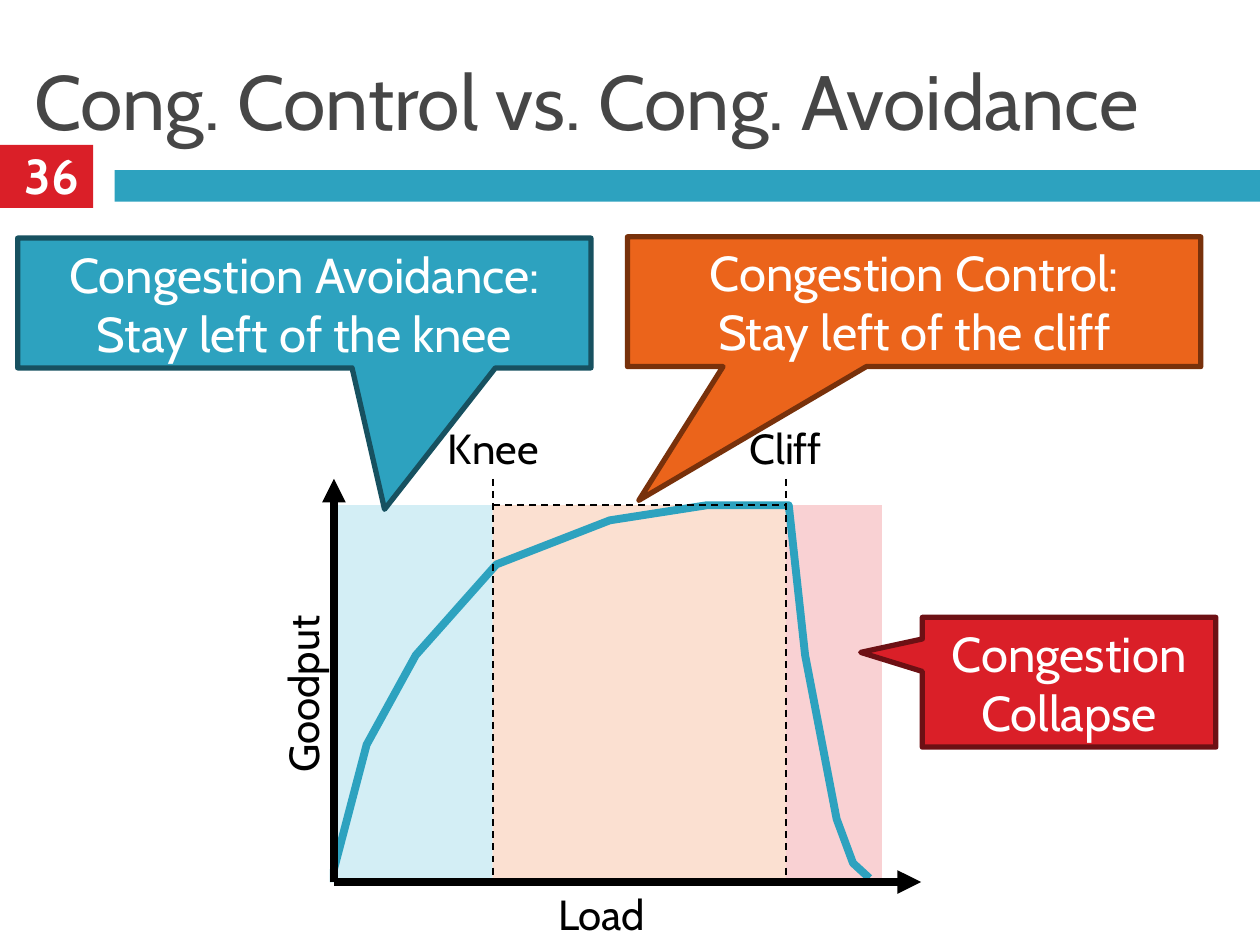
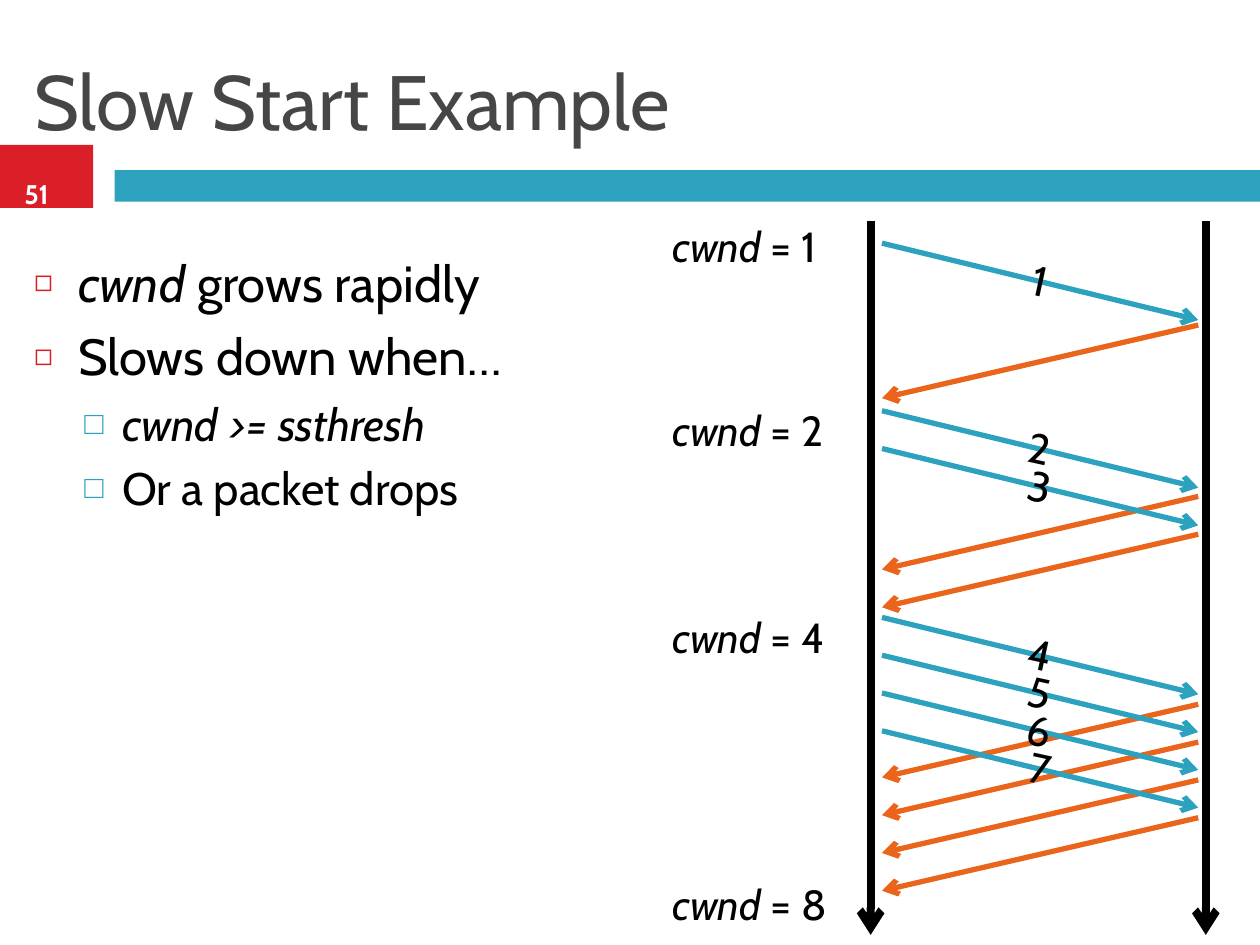
from lxml.etree import SubElement
from pptx import Presentation
from pptx.dml.color import RGBColor
from pptx.enum.dml import MSO_LINE
from pptx.enum.shapes import MSO_CONNECTOR, MSO_SHAPE
from pptx.enum.text import MSO_ANCHOR, MSO_AUTO_SIZE, PP_ALIGN
from pptx.oxml.ns import qn
from pptx.util import Inches, Pt

COLORS = {
    "title": "464646", "text": "000000", "white": "FFFFFF",
    "teal": "2DA2BF", "teal_edge": "175160", "teal_tint": "D3EEF5",
    "orange": "EB641B", "orange_edge": "78310B", "orange_tint": "FBE0D1",
    "red": "DA1F28", "red_edge": "6D1014", "red_tint": "F9D1D3",
}
RGB = {name: RGBColor.from_string(value) for name, value in COLORS.items()}
FONT = "Cabin"

# The slide is a grid of 100 columns by 75 rows of square cells
prs = Presentation()
prs.slide_width, prs.slide_height = Inches(10), Inches(7.5)
CELL = prs.slide_width // 100


def add_box(slide, cells, paragraphs=(), size=24, color="text", bold=False,
            align=PP_ALIGN.CENTER, kind=None, fill=None, edge=None):
    """Add a text box or filled shape; a paragraph is a list of (text, italic)."""
    place = [round(cell * CELL) for cell in cells]
    if kind is None:
        box = slide.shapes.add_textbox(*place)
    else:
        box = slide.shapes.add_shape(kind, *place)
        box.shadow.inherit = False
        box.fill.solid()
        box.fill.fore_color.rgb = RGB[fill]
        if edge:
            box.line.color.rgb = RGB[edge]
            box.line.width = Pt(3)
        else:
            box.line.fill.background()
    frame = box.text_frame
    frame.word_wrap = True
    frame.vertical_anchor = MSO_ANCHOR.MIDDLE
    if align == PP_ALIGN.CENTER:
        frame.margin_left = frame.margin_right = 0
    for i, runs in enumerate(paragraphs):
        paragraph = frame.add_paragraph() if i else frame.paragraphs[0]
        paragraph.alignment = align
        for text, italic in runs:
            run = paragraph.add_run()
            run.text = text
            run.font.name, run.font.size = FONT, Pt(size)
            run.font.bold, run.font.italic = bold, italic
            run.font.color.rgb = RGB[color]
    return box


def add_line(slide, cells, color="text", width=4.5, head=None, dash=None):
    """Add a straight line from (x1, y1) to (x2, y2)."""
    line = slide.shapes.add_connector(
        MSO_CONNECTOR.STRAIGHT, *[round(cell * CELL) for cell in cells])
    line.line.color.rgb = RGB[color]
    line.line.width = Pt(width)
    if dash:
        line.line.dash_style = dash
    if head:
        SubElement(line.line._get_or_add_ln(), qn("a:tailEnd"), type=head)
    SubElement(line._element.spPr, qn("a:effectLst"))


# Shared frame: title, bands and slide number
slides = []
for layout, heading, number, number_size, number_cells in [
    (5, "Cong. Control vs. Cong. Avoidance", "36", 28, (0, 10.7, 8.2, 6.4)),
    (1, "Slow Start Example", "51", 15.4, (0, 13.7, 5.8, 3.3)),
]:
    slide = prs.slides.add_slide(prs.slide_layouts[layout])
    slides.append(slide)
    title = slide.shapes.title
    title.left, title.top, title.width, title.height = [
        round(cell * CELL) for cell in (1.7, 2.5, 98.3, 10.8)]
    title.text_frame.auto_size = MSO_AUTO_SIZE.NONE
    title.text_frame.vertical_anchor = MSO_ANCHOR.MIDDLE
    paragraph = title.text_frame.paragraphs[0]
    paragraph.alignment = PP_ALIGN.LEFT
    run = paragraph.add_run()
    run.text = heading
    run.font.name, run.font.size = FONT, Pt(44)
    run.font.color.rgb = RGB["title"]
    add_box(slide, (0, 11.5, 7.4, 5), kind=MSO_SHAPE.RECTANGLE, fill="red")
    add_box(slide, (9.1, 13.5, 90.9, 2.5), kind=MSO_SHAPE.RECTANGLE, fill="teal")
    add_box(slide, number_cells, [[(number, False)]], number_size, "white", bold=True)
control, slow_start = slides

# Slide 1: load zones under the goodput curve
ORIGIN, KNEE, CLIFF, COLLAPSE = 26.5, 39.1, 62.4, 70
PEAK, BASE, MARK = 40.1, 70, 38
for left, right, tint in [(ORIGIN, KNEE, "teal_tint"), (KNEE, CLIFF, "orange_tint"),
                          (CLIFF, COLLAPSE, "red_tint")]:
    add_box(control, (left, PEAK, right - left, BASE - PEAK),
            kind=MSO_SHAPE.RECTANGLE, fill=tint)

# Goodput curve
curve_points = [(ORIGIN, 69), (29.1, 59.1), (33, 52), (39.4, 44.8), (48.4, 41.3),
                (56.1, PEAK), (62.6, PEAK), (63.9, 52), (66.4, 65), (67.7, 68.5),
                (69, 69.7)]
builder = control.shapes.build_freeform(
    round(ORIGIN * CELL), round(BASE * CELL), scale=1.0)
builder.add_line_segments(
    [(round(x * CELL), round(y * CELL)) for x, y in curve_points], close=False)
curve = builder.convert_to_shape()
curve.shadow.inherit = False
curve.fill.background()
curve.line.color.rgb = RGB["teal"]
curve.line.width = Pt(4.5)

# Axes and guides
for axis_end in [(ORIGIN, MARK), (73.1, BASE)]:
    add_line(control, (ORIGIN, BASE, *axis_end), head="triangle")
for guide in [(CLIFF, MARK, CLIFF, BASE), (KNEE, MARK, KNEE, BASE),
              (KNEE, PEAK, CLIFF, PEAK)]:
    add_line(control, guide, width=1, dash=MSO_LINE.DASH)

# Axis and guide labels
for label, cells, turn in [
    ("Goodput", (16.6, 52.6, 14.9, 5), 270), ("Knee", (34.2, 33, 9.9, 5), 0),
    ("Cliff", (58.5, 33, 7.7, 5), 0), ("Load", (43, 70, 9.5, 5), 0),
]:
    add_box(control, cells, [[(label, False)]]).rotation = turn

# Callouts, each with its tip as a share of the box measured from the centre
for message, cells, tip, hue in [
    (["Congestion Collapse"], (73.2, 49, 23.3, 10.3), (-0.71, -0.23), "red"),
    (["Congestion Avoidance:", "Stay left of the knee"],
     (1.4, 18.9, 45.5, 10.3), (0.14, 1.59), "teal"),
    (["Congestion Control:", "Stay left of the cliff"],
     (49.8, 18.8, 45.5, 10.3), (-0.48, 1.53), "orange"),
]:
    callout = add_box(control, cells, [[(text, False)] for text in message], 28, "white",
                      kind=MSO_SHAPE.RECTANGULAR_CALLOUT, fill=hue, edge=hue + "_edge")
    callout.adjustments[0], callout.adjustments[1] = tip

# Slide 2: bullet list
points = slow_start.placeholders[1]
points.left, points.top, points.width, points.height = [
    round(cell * CELL) for cell in (1.7, 19.5, 46.2, 53.8)]
points.text_frame.auto_size = MSO_AUTO_SIZE.NONE
# By level: size, space before, left margin, hanging indent, bullet, share, colour
LEVELS = [(29, 7, 3.5, 3.5, "◻", 60, "red"), (26, 5.5, 7, 3, "□", 70, "teal")]
for i, (level, runs) in enumerate([
    (0, [("cwnd", True), (" grows rapidly", False)]),
    (0, [("Slows down when…", False)]),
    (1, [("cwnd >= ssthresh", True)]),
    (1, [("Or a packet drops", False)]),
]):
    size, gap, margin, hang, mark, share, hue = LEVELS[level]
    paragraph = points.text_frame.add_paragraph() if i else points.text_frame.paragraphs[0]
    paragraph.level = level
    props = paragraph._p.get_or_add_pPr()
    props.set("marL", str(round(margin * CELL)))
    props.set("indent", str(round(-hang * CELL)))
    SubElement(SubElement(props, qn("a:buClr")), qn("a:srgbClr"), val=COLORS[hue])
    SubElement(props, qn("a:buSzPct"), val=str(share * 1000))
    SubElement(props, qn("a:buChar"), char=mark)
    paragraph.space_before = Pt(gap if i else 0)
    for text, italic in runs:
        run = paragraph.add_run()
        run.text = text
        run.font.name, run.font.size, run.font.italic = FONT, Pt(size), italic
        run.font.color.rgb = RGB["text"]

# Sender and receiver timelines
for timeline in (69.1, 95.7):
    add_line(slow_start, (timeline, 17.5, timeline, 74.2), head="arrow")

# Rounds: window, label row, first packet row, first acknowledgement row
SENDER, RECEIVER, SPACING = 70, 95.1, 3
rounds = [(1, 17, 19.3, 25.8), (2, 31.6, 32.6, 39.4), (4, 48, 49, 55.9)]
for window, _, _, first_ack in rounds:
    for i in range(window):
        ack = first_ack + i * SPACING
        add_line(slow_start, (RECEIVER, ack, SENDER, ack + 5.8), "orange", 3, "arrow")
for window, label_row, first_packet, _ in rounds:
    for i in range(window):
        packet = first_packet + i * SPACING
        add_line(slow_start, (SENDER, packet, RECEIVER, packet + 6.1), "teal", 3, "arrow")
        # Packets are numbered on from the previous round
        add_box(slow_start, (77, packet + 0.4, 11.1, 5),
                [[(str(window + i), False)]]).rotation = 12.3

# Window size at the start of each round
for window, label_row in [*[step[:2] for step in rounds], (8, 69.2)]:
    add_box(slow_start, (52.4, label_row, 15.6, 5),
            [[("cwnd", True), (f" = {window}", False)]], align=PP_ALIGN.LEFT)

prs.save("out.pptx")
